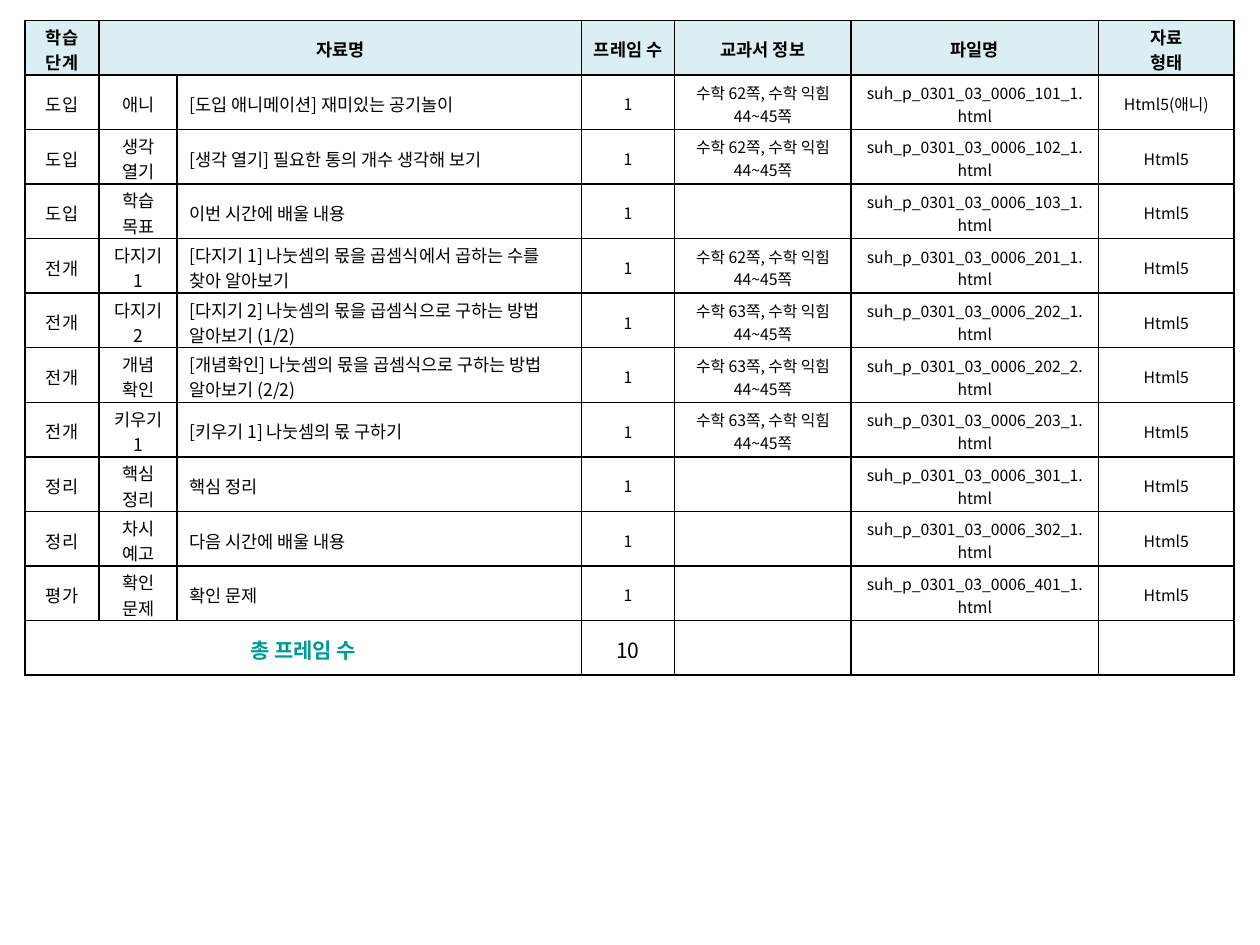
"""Build a one-slide table of lesson materials with their frames, pages and files."""
from lxml import etree
from pptx import Presentation
from pptx import util as u
from pptx.dml.color import RGBColor
from pptx.enum import text
from pptx.oxml import ns

HEADERS = ["학습 단계", "자료명", "", "프레임 수", "교과서 정보", "파일명", "자료\n형태"]
MATERIALS = [
    ("도입", "애니", "[도입 애니메이션] 재미있는 공기놀이", 62, "101_1", "Html5(애니)"),
    ("도입", "생각 열기", "[생각 열기] 필요한 통의 개수 생각해 보기", 62, "102_1", "Html5"),
    ("도입", "학습 목표", "이번 시간에 배울 내용", None, "103_1", "Html5"),
    ("전개", "다지기 1", "[다지기 1] 나눗셈의 몫을 곱셈식에서 곱하는 수를 찾아 알아보기", 62, "201_1", "Html5"),
    ("전개", "다지기 2", "[다지기 2] 나눗셈의 몫을 곱셈식으로 구하는 방법 알아보기 (1/2)", 63, "202_1", "Html5"),
    ("전개", "개념 확인", "[개념확인] 나눗셈의 몫을 곱셈식으로 구하는 방법 알아보기 (2/2)", 63, "202_2", "Html5"),
    ("전개", "키우기1", "[키우기 1] 나눗셈의 몫 구하기", 63, "203_1", "Html5"),
    ("정리", "핵심 정리", "핵심 정리", None, "301_1", "Html5"),
    ("정리", "차시 예고", "다음 시간에 배울 내용", None, "302_1", "Html5"),
    ("평가", "확인 문제", "확인 문제", None, "401_1", "Html5"),
]
TOTAL = ["총 프레임 수", "", "", str(len(MATERIALS)), "", "", ""]

COLUMN_WIDTHS = [1.5, 1.57, 8.15, 1.88, 3.56, 4.98, 2.74]
ROW_HEIGHT = 1.1
LEFT, TOP = 0.5, 0.41
NAME_COLUMN, FRAME_COLUMN = 2, 3

THEME = {
    "font": "Noto Sans CJK KR",
    "ink": "000000",
    "accent": "009999",
    "header_fill": "DBEEF4",
    "body_fill": "FFFFFF",
    "label_size": 10,
    "detail_size": 9,
    "total_size": 12,
    "border": 1,
}
CELL_FORMAT = {
    "margin_left": u.Cm(0.25),
    "margin_right": u.Cm(0.25),
    "margin_top": u.Cm(0.07),
    "margin_bottom": 0,
    "vertical_anchor": text.MSO_ANCHOR.MIDDLE,
}


def set_attributes(target, values):
    for name, value in values.items():
        setattr(target, name, value)


def material_row(stage, activity, name, page, code, kind):
    pages = f"수학 {page}쪽, 수학 익힘 44~45쪽" if page else ""
    return [stage, activity, name, "1", pages, f"suh_p_0301_03_0006_{code}.html", kind]


def text_style(row, column, last_row):
    if row == 0:
        return "label_size", "ink", True
    if row == last_row:
        is_label = column < FRAME_COLUMN
        return "total_size", "accent" if is_label else "ink", is_label
    return "label_size" if column < FRAME_COLUMN else "detail_size", "ink", False


def add_borders(cell):
    properties = cell._tc.get_or_add_tcPr()
    for index, side in enumerate(("lnL", "lnR", "lnT", "lnB")):
        line = etree.Element(ns.qn(f"a:{side}"), w=str(u.Pt(THEME["border"])))
        fill = etree.SubElement(line, ns.qn("a:solidFill"))
        etree.SubElement(fill, ns.qn("a:srgbClr"), val=THEME["ink"])
        properties.insert(index, line)


def write_text(cell, content, alignment, size, color, bold):
    cell.text = content
    for paragraph in cell.text_frame.paragraphs:
        paragraph.alignment = alignment
        for run in paragraph.runs:
            set_attributes(run.font, {"name": THEME["font"], "size": u.Pt(THEME[size]), "bold": bold})
            run.font.color.rgb = RGBColor.from_string(THEME[color])
            latin = run.font._element.find(ns.qn("a:latin"))
            latin.addnext(etree.Element(ns.qn("a:ea"), typeface=THEME["font"]))


def add_material_table(slide):
    rows = [HEADERS, *(material_row(*material) for material in MATERIALS), TOTAL]
    last_row = len(rows) - 1
    table = slide.shapes.add_table(
        len(rows), len(COLUMN_WIDTHS), u.Cm(LEFT), u.Cm(TOP),
        u.Cm(sum(COLUMN_WIDTHS)), u.Cm(ROW_HEIGHT * len(rows)),
    ).table
    set_attributes(table, {"first_row": False, "horz_banding": False})
    for column, width in zip(table.columns, COLUMN_WIDTHS):
        column.width = u.Cm(width)
    for row in table.rows:
        row.height = u.Cm(ROW_HEIGHT)

    for row, contents in enumerate(rows):
        for column, content in enumerate(contents):
            cell = table.cell(row, column)
            set_attributes(cell, CELL_FORMAT)
            cell.fill.solid()
            fill = "header_fill" if row == 0 else "body_fill"
            cell.fill.fore_color.rgb = RGBColor.from_string(THEME[fill])
            add_borders(cell)
            is_name = column == NAME_COLUMN and 0 < row < last_row
            alignment = text.PP_ALIGN.LEFT if is_name else text.PP_ALIGN.CENTER
            write_text(cell, content, alignment, *text_style(row, column, last_row))

    table.cell(0, 1).merge(table.cell(0, NAME_COLUMN))
    table.cell(last_row, 0).merge(table.cell(last_row, NAME_COLUMN))


def main():
    presentation = Presentation()
    set_attributes(presentation, {"slide_width": u.Cm(25.4), "slide_height": u.Cm(19.05)})
    slide = presentation.slides.add_slide(presentation.slide_layouts[6])
    add_material_table(slide)
    presentation.save("out.pptx")


if __name__ == "__main__":
    main()
